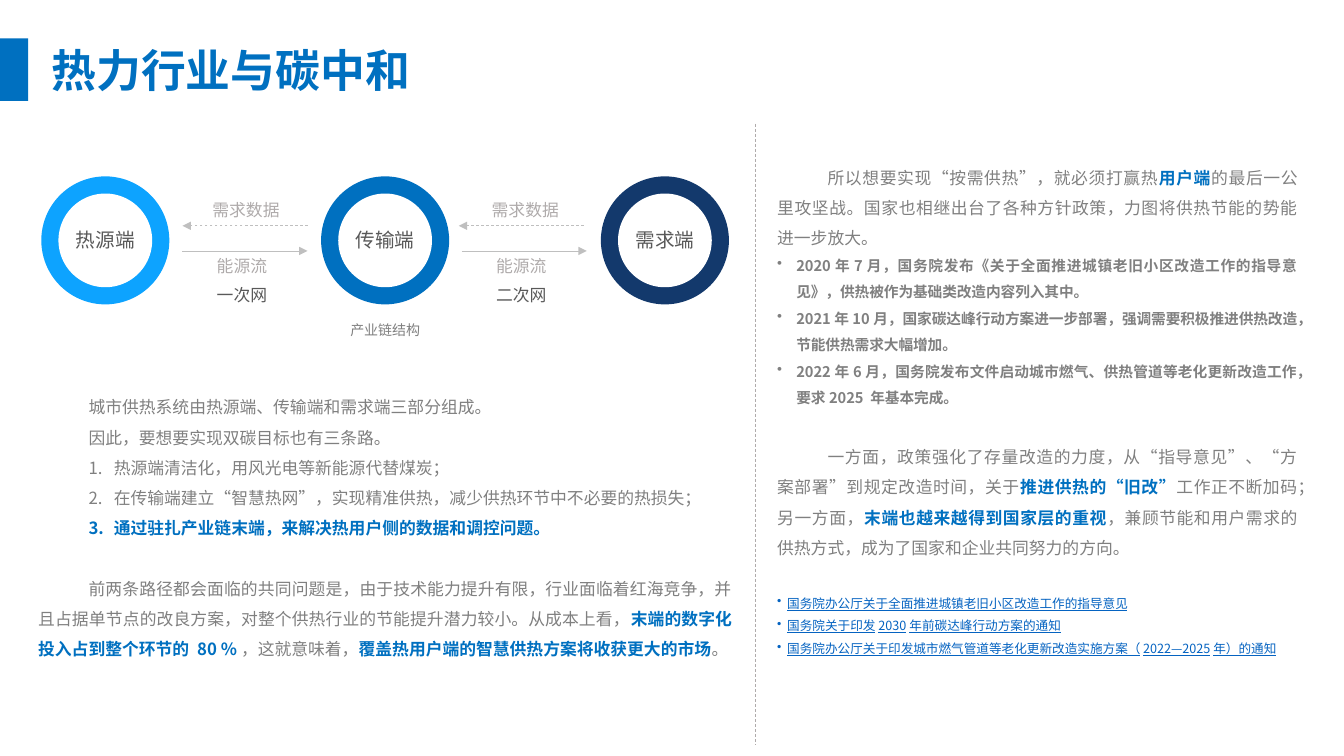
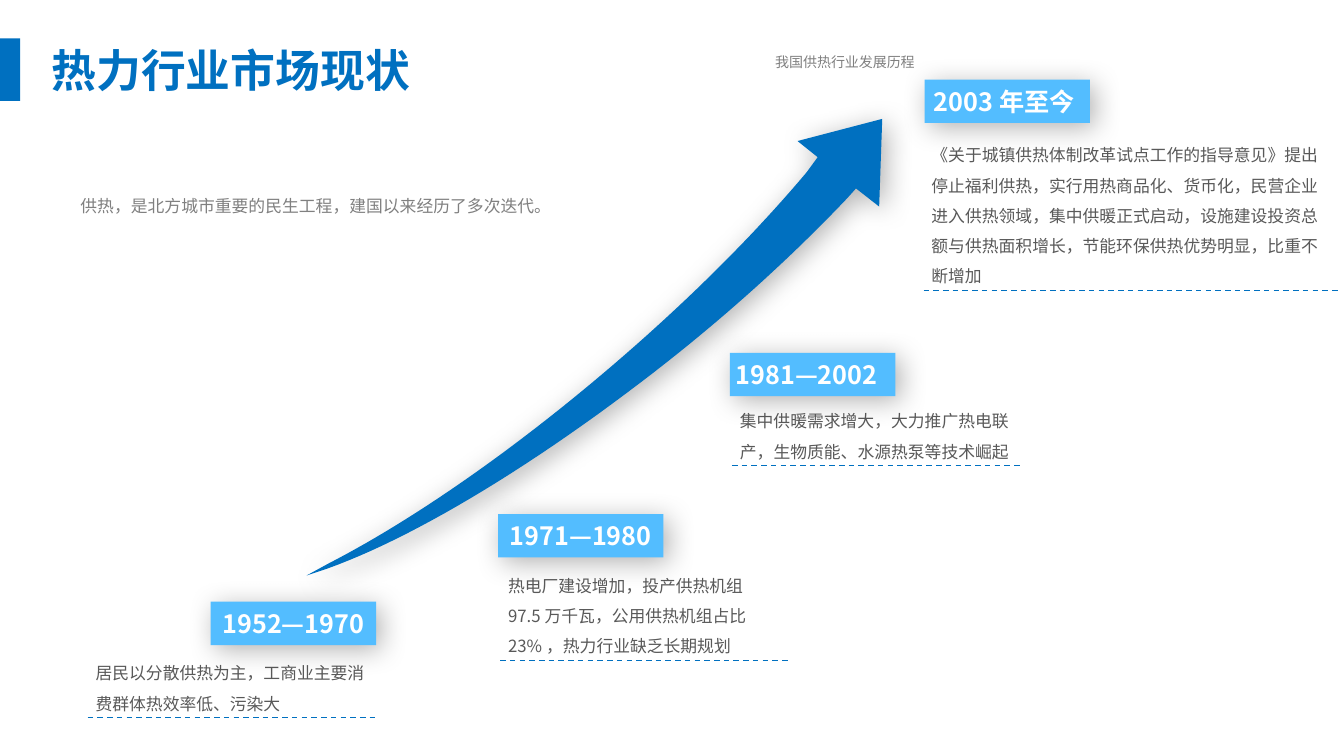
from dataclasses import dataclass
from typing import Optional, Sequence

from lxml.etree import SubElement
from pptx import Presentation
from pptx.dml.color import RGBColor
from pptx.enum.dml import MSO_LINE
from pptx.enum.shapes import MSO_CONNECTOR, MSO_SHAPE
from pptx.enum.text import MSO_ANCHOR, PP_ALIGN
from pptx.oxml.ns import qn
from pptx.shapes.autoshape import Shape
from pptx.shapes.connector import Connector
from pptx.slide import Slide
from pptx.text.text import TextFrame
from pptx.util import Inches, Pt

Point = tuple[float, float]


@dataclass(frozen=True)
class Theme:
    font: str = "Noto Sans CJK SC"
    blue: str = "0070C0"
    bright: str = "0DA3FF"
    navy: str = "13396C"
    sky: str = "53BDFF"
    link: str = "0563C1"
    white: str = "FFFFFF"
    dark: str = "595959"
    gray: str = "808080"
    pale: str = "AFABAB"
    rule: str = "BFBFBF"
    title: float = 32
    period: float = 18
    node: float = 14
    body: float = 12
    policy: float = 10.5
    caption: float = 10
    source: float = 9
    spacing: float = 1.5
    gap: float = 21.6


THEME = Theme()


@dataclass(frozen=True)
class Span:
    text: str
    color: str = THEME.gray
    size: float = THEME.body
    bold: bool = False
    underline: bool = False


@dataclass(frozen=True)
class Para:
    spans: Sequence[Span]
    align: Optional[PP_ALIGN] = PP_ALIGN.JUSTIFY
    margin: float = 0
    indent: float = 0.5
    marker: str = ""
    before: float = 0
    spacing: Optional[float] = THEME.spacing


@dataclass(frozen=True)
class Node:
    name: str
    color: str


@dataclass(frozen=True)
class Network:
    name: str
    offset: float
    demand_left: float


@dataclass(frozen=True)
class Stage:
    period: str
    label_left: float
    label_top: float
    nudge: float
    text: str
    left: float
    top: float
    width: float
    lines: int


NODES = (Node("热源端", THEME.bright), Node("传输端", THEME.blue), Node("需求端", THEME.navy))
NETWORKS = (Network("一次网", 0, 1.81), Network("二次网", 2.77, 4.55))


def strong(text: str) -> Span:
    return Span(text, THEME.blue, bold=True)


def numbered(span: Span) -> Para:
    return Para([span], margin=0.75, indent=-0.25, marker="1.")


def policy(text: str) -> Para:
    return Para([Span(text, size=THEME.policy, bold=True)], margin=0.19, indent=-0.19, marker="•")


def source(text: str, before: float = 0) -> Para:
    span = Span(text, THEME.link, THEME.source, underline=True)
    return Para([span], None, 0.1, -0.1, "•", before)


PATHS = (
    Para([Span("城市供热系统由热源端、传输端和需求端三部分组成。")]),
    Para([Span("因此，要想要实现双碳目标也有三条路。")]),
    numbered(Span("热源端清洁化，用风光电等新能源代替煤炭；")),
    numbered(Span("在传输端建立“智慧热网”，实现精准供热，减少供热环节中不必要的热损失；")),
    numbered(strong("通过驻扎产业链末端，来解决热用户侧的数据和调控问题。")),
    Para([
        Span("前两条路径都会面临的共同问题是，由于技术能力提升有限，行业面临着红海竞争，"
             "并且占据单节点的改良方案，对整个供热行业的节能提升潜力较小。从成本上看，"),
        strong("末端的数字化投入占到整个环节的 80 %"),
        Span("，这就意味着，"),
        strong("覆盖热用户端的智慧供热方案将收获更大的市场"),
        Span("。"),
    ], before=THEME.gap),
)
POLICIES = (
    Para([
        Span("所以想要实现“按需供热”，就必须打赢热"),
        strong("用户端"),
        Span("的最后一公里攻坚战。国家也相继出台了各种方针政策，力图将供热节能的势能进一步放大。"),
    ]),
    policy("2020年7月，国务院发布《关于全面推进城镇老旧小区改造工作的指导意见》，供热被作为基础类改造内容列入其中。"),
    policy("2021年10月，国家碳达峰行动方案进一步部署，强调需要积极推进供热改造，节能供热需求大幅增加。"),
    policy("2022年6月，国务院发布文件启动城市燃气、供热管道等老化更新改造工作，要求2025 年基本完成。"),
    Para([
        Span("一方面，政策强化了存量改造的力度，从“指导意见”、“方案部署”到规定改造时间，关于"),
        strong("推进供热的“旧改”"),
        Span("工作正不断加码；另一方面，"),
        strong("末端也越来越得到国家层的重视"),
        Span("，兼顾节能和用户需求的供热方式，成为了国家和企业共同努力的方向。"),
    ], before=THEME.gap),
    source("国务院办公厅关于全面推进城镇老旧小区改造工作的指导意见", THEME.gap),
    source("国务院关于印发2030年前碳达峰行动方案的通知"),
    source("国务院办公厅关于印发城市燃气管道等老化更新改造实施方案（2022—2025年）的通知"),
)
STAGES = (
    Stage("1952—1970", 2.09, 5.97, 0,
          "居民以分散供热为主，工商业主要消费群体热效率低、污染大", 0.85, 6.43, 2.88, 2),
    Stage("1971—1980", 4.94, 5.1, 0,
          "热电厂建设增加，投产供热机组97.5万千瓦，公用供热机组占比23%，热力行业缺乏长期规划",
          4.94, 5.56, 2.88, 3),
    Stage("1981—2002", 7.24, 3.5, 0.06,
          "集中供暖需求增大，大力推广热电联产，生物质能、水源热泵等技术崛起", 7.24, 3.93, 2.88, 2),
    Stage("2003年至今", 9.17, 0.79, 0.03,
          "《关于城镇供热体制改革试点工作的指导意见》提出停止福利供热，实行用热商品化、货币化，"
          "民营企业进入供热领域，集中供暖正式启动，设施建设投资总额与供热面积增长，"
          "节能环保供热优势明显，比重不断增加", 9.14, 1.29, 4.14, 5),
)


def write(frame: TextFrame, paras: Sequence[Para]) -> None:
    frame.word_wrap = True
    for index, item in enumerate(paras):
        para = frame.paragraphs[0] if index == 0 else frame.add_paragraph()
        para.alignment = item.align
        para.line_spacing = item.spacing
        if item.before:
            para.space_before = Pt(item.before)
        props = para._p.get_or_add_pPr()
        props.set("marL", str(Inches(item.margin)))
        props.set("indent", str(Inches(item.indent)))
        if item.marker == "1.":
            SubElement(props, qn("a:buAutoNum"), type="arabicPeriod")
        elif item.marker:
            SubElement(props, qn("a:buChar"), char=item.marker)
        for span in item.spans:
            run = para.add_run()
            run.text = span.text
            font = run.font
            font.size, font.bold, font.name = Pt(span.size), span.bold, THEME.font
            font.underline = True if span.underline else None
            font.color.rgb = RGBColor.from_string(span.color)
            SubElement(run._r.get_or_add_rPr(), qn("a:ea"), typeface=THEME.font)


def add_text(page: Slide, left: float, top: float, width: float, height: float,
             paras: Sequence[Para]) -> None:
    box = page.shapes.add_textbox(Inches(left), Inches(top), Inches(width), Inches(height))
    write(box.text_frame, paras)


def centred(span: Span) -> Para:
    return Para([span], PP_ALIGN.CENTER, indent=0, spacing=None)


def add_label(page: Slide, center: float, top: float, width: float, span: Span) -> None:
    """Place one line of text centred on a horizontal position."""
    add_text(page, center - width / 2, top, width, 0.3, [centred(span)])


def paint(shape: Shape, color: str, shadow: bool = False) -> None:
    shape.fill.solid()
    shape.fill.fore_color.rgb = RGBColor.from_string(color)
    shape.line.fill.background()
    shape.shadow.inherit = False
    if shadow:
        effects = shape._element.spPr.find(qn("a:effectLst"))
        outer = SubElement(effects, qn("a:outerShdw"), blurRad=str(Pt(20)), dist=str(Pt(5)),
                           dir="2700000", algn="tl", rotWithShape="0")
        tint = SubElement(outer, qn("a:srgbClr"), val="000000")
        SubElement(tint, qn("a:alpha"), val="30000")


def add_filled(page: Slide, kind: MSO_SHAPE, left: float, top: float, width: float,
               height: float, color: str, shadow: bool = False) -> Shape:
    shape = page.shapes.add_shape(kind, Inches(left), Inches(top), Inches(width), Inches(height))
    paint(shape, color, shadow)
    return shape


def add_line(page: Slide, start: Point, end: Point, color: str, width: float,
             dashed: bool = True, arrow: bool = False) -> Connector:
    line = page.shapes.add_connector(MSO_CONNECTOR.STRAIGHT, *map(Inches, start + end))
    line.line.color.rgb = RGBColor.from_string(color)
    line.line.width = Pt(width)
    if dashed:
        line.line.dash_style = MSO_LINE.DASH
    if arrow:
        SubElement(line.line._get_or_add_ln(), qn("a:tailEnd"), type="triangle")
    SubElement(line._element.spPr, qn("a:effectLst"))
    return line


def curve(start: Point, first: Point, second: Point, end: Point, steps: int = 24) -> list[Point]:
    """Sample a cubic Bezier curve, leaving out its start point."""
    points = []
    for step in range(1, steps + 1):
        t = step / steps
        weights = ((1 - t) ** 3, 3 * t * (1 - t) ** 2, 3 * t * t * (1 - t), t ** 3)
        x, y = (sum(w * p[axis] for w, p in zip(weights, (start, first, second, end)))
                for axis in (0, 1))
        points.append((x, y))
    return points


def add_growth_arrow(page: Slide) -> None:
    outline = [
        (8.75, 1.18), (8.72, 2.05), (8.49, 1.87), (8.4, 1.97),
        *curve((8.4, 1.97), (7.84, 2.56), (7.15, 3.19), (6.36, 3.79)),
        *curve((6.36, 3.79), (5.18, 4.69), (4.06, 5.35), (3.25, 5.64)),
        (3.04, 5.71), (3.26, 5.59),
        *curve((3.26, 5.59), (3.98, 5.22), (4.86, 4.63), (5.76, 3.89)),
        *curve((5.76, 3.89), (6.66, 3.15), (7.43, 2.39), (8, 1.71)),
        (8.11, 1.56), (7.91, 1.4),
    ]
    points = [(Inches(x), Inches(y)) for x, y in outline]
    builder = page.shapes.build_freeform(*points[0])
    builder.add_line_segments(points[1:], close=True)
    paint(builder.convert_to_shape(), THEME.blue, shadow=True)


def add_page(deck: Presentation, title: str, bar_width: float) -> Slide:
    page = deck.slides.add_slide(deck.slide_layouts[6])
    add_filled(page, MSO_SHAPE.RECTANGLE, 0, 0.38, bar_width, 0.62, THEME.blue)
    add_label(page, 2.29, 0.37, 4.54, Span(title, THEME.blue, THEME.title, bold=True))
    return page


def add_node(page: Slide, node: Node, left: float) -> None:
    add_filled(page, MSO_SHAPE.OVAL, left, 1.75, 1.27, 1.27, node.color)
    add_filled(page, MSO_SHAPE.OVAL, left + 0.17, 1.92, 0.93, 0.93, THEME.white)
    add_label(page, left + 0.635, 2.21, 0.83, Span(node.name, THEME.dark, THEME.node))


def add_network(page: Slide, network: Network) -> None:
    flow, demand, length = 1.81 + network.offset, network.demand_left, 1.24
    add_line(page, (flow, 2.49), (flow + length, 2.49), THEME.rule, 0.5, dashed=False, arrow=True)
    add_line(page, (demand + length, 2.24), (demand, 2.24), THEME.rule, 0.5, arrow=True)
    add_label(page, 2.44 + network.offset, 1.93, 0.94, Span("需求数据", THEME.pale))
    for name, top, color in (("能源流", 2.49, THEME.pale), (network.name, 2.78, THEME.dark)):
        add_label(page, 2.4 + network.offset, top, 0.94, Span(name, color))


def add_stage(page: Slide, stage: Stage) -> None:
    bottom = stage.top + 0.3 * stage.lines + 0.09
    add_line(page, (stage.left + 0.02, bottom), (stage.left + stage.width, bottom), THEME.blue, 1)
    body = Para([Span(stage.text, THEME.dark)], None, indent=0)
    add_text(page, stage.left, stage.top, stage.width, bottom - stage.top, [body])
    label = add_filled(page, MSO_SHAPE.RECTANGLE, stage.label_left, stage.label_top,
                       1.64, 0.43, THEME.sky, shadow=True)
    frame = label.text_frame
    frame.vertical_anchor = MSO_ANCHOR.MIDDLE
    frame.margin_left, frame.margin_right = 0, Inches(2 * stage.nudge)
    write(frame, [centred(Span(stage.period, THEME.white, THEME.period, bold=True))])


def build_carbon_page(deck: Presentation) -> None:
    page = add_page(deck, "热力行业与碳中和", 0.28)
    for index, node in enumerate(NODES):
        add_node(page, node, 0.41 + 2.775 * index)
    for network in NETWORKS:
        add_network(page, network)
    add_label(page, 3.82, 3.14, 2.44, Span("产业链结构", size=THEME.caption))
    add_text(page, 0.28, 3.79, 7.08, 2.8, PATHS)
    add_line(page, (7.49, 1.23), (7.49, 7.39), THEME.pale, 0.5)
    add_text(page, 7.61, 1.51, 5.36, 5.08, POLICIES)


def build_market_page(deck: Presentation) -> None:
    page = add_page(deck, "热力行业市场现状", 0.2)
    add_growth_arrow(page)
    for stage in STAGES:
        add_stage(page, stage)
    add_text(page, 0.2, 1.79, 6.13, 0.37,
             [Para([Span("供热，是北方城市重要的民生工程，建国以来经历了多次迭代。")])])
    add_label(page, 8.38, 0.48, 2.65, Span("我国供热行业发展历程", size=THEME.caption))


def main() -> None:
    deck = Presentation()
    deck.slide_width, deck.slide_height = Inches(13.33), Inches(7.5)
    build_carbon_page(deck)
    build_market_page(deck)
    deck.save("out.pptx")


if __name__ == "__main__":
    main()
